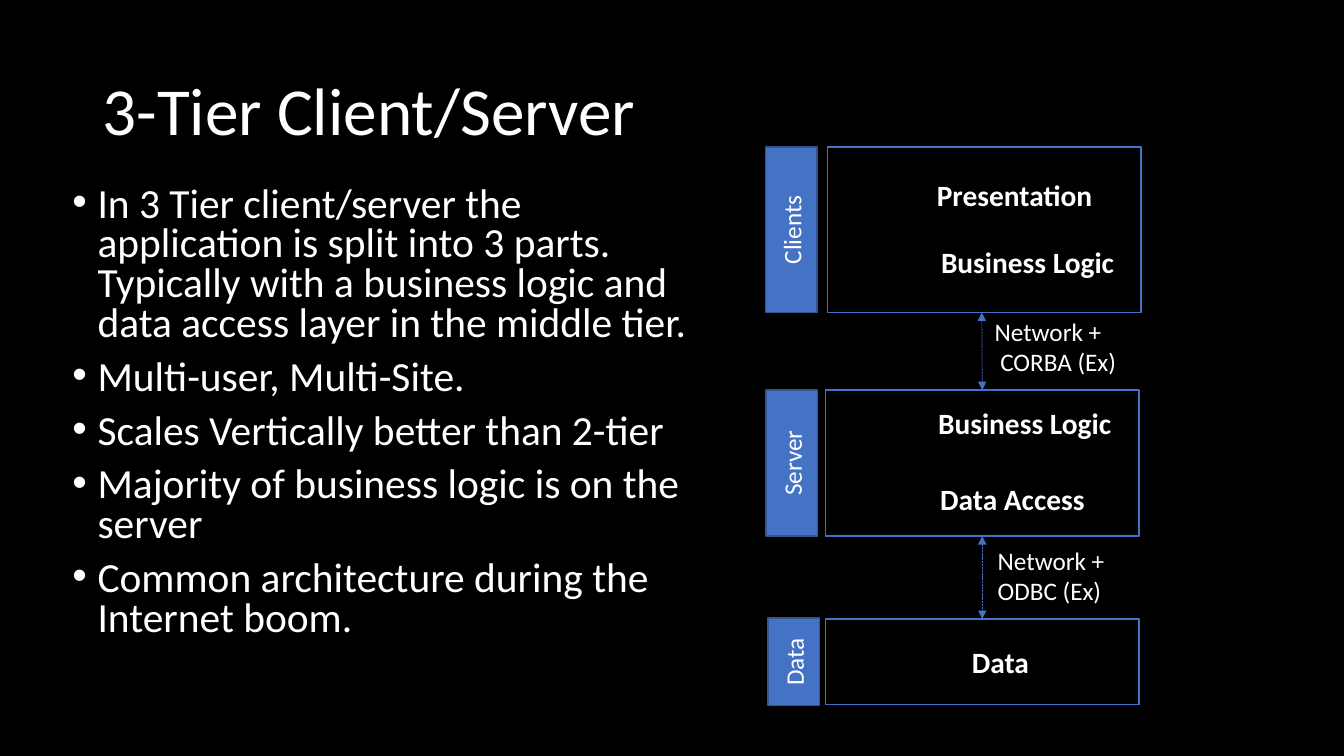
from dataclasses import dataclass

from lxml.etree import SubElement
from pptx import Presentation
from pptx.dml.color import RGBColor
from pptx.enum.dml import MSO_LINE
from pptx.enum.shapes import MSO_CONNECTOR, MSO_SHAPE
from pptx.enum.text import MSO_ANCHOR, PP_ALIGN
from pptx.oxml.ns import qn
from pptx.util import Pt


@dataclass(frozen=True)
class Theme:
    font: str = "Calibri"
    background: RGBColor = RGBColor(0, 0, 0)
    text: RGBColor = RGBColor(0xFF, 0xFF, 0xFF)
    accent: RGBColor = RGBColor(0x44, 0x72, 0xC4)
    tag_edge: RGBColor = RGBColor(0x32, 0x54, 0x91)
    title_size: float = 48
    body_size: float = 29.6
    label_size: float = 21
    small_size: float = 18


THEME = Theme()
TAG_WIDTH = 36.7
FRAME_WIDTH = 223.9
LABEL_HEIGHT = 21.6
LINK_X = 701.3

BULLETS = [
    "In 3 Tier client/server the application is split into 3 parts. "
    "Typically with a business logic and data access layer in the middle tier.",
    "Multi-user, Multi-Site.",
    "Scales Vertically better than 2-tier",
    "Majority of business logic is on the server",
    "Common architecture during the Internet boom.",
]

# name, tag centre, tag length, frame left, top, height, [(label, left, top, width)]
TIERS = [
    ("Clients", 565.2, 118.1, 591.1, 105.1, 118.1,
     [("Presentation", 653.8, 129.6, 141.8),
      ("Business Logic", 663.1, 177.1, 141.8)]),
    ("Server", 565.6, 104.4, 589.7, 278.6, 104.4,
     [("Business Logic", 661, 292.3, 141.8),
      ("Data Access", 652.3, 346.3, 141.8)]),
    ("Data", 567, 62.6, 589.7, 442.1, 61.2,
     [("Data", 647.3, 463, 134.6)]),
]


def write(frame, paragraphs, size, bold=False, align=PP_ALIGN.LEFT,
          anchor=MSO_ANCHOR.TOP, spacing=None, gap=0, bullet=False,
          inset=None, wrap=True):
    """Fill a text frame; gap is the space in points between paragraphs."""
    frame.word_wrap = wrap
    frame.vertical_anchor = anchor
    if inset is not None:
        frame.margin_left = frame.margin_right = Pt(inset)
        frame.margin_top = frame.margin_bottom = Pt(inset)
    for index, text in enumerate(paragraphs):
        paragraph = frame.add_paragraph() if index else frame.paragraphs[0]
        paragraph.text = text
        paragraph.alignment = align
        if spacing:
            paragraph.line_spacing = spacing
        if index and gap:
            paragraph.space_before = Pt(gap)
        if bullet:
            add_bullet(paragraph)
        for run in paragraph.runs:
            run.font.name = THEME.font
            run.font.size = Pt(size)
            run.font.bold = bold
            run.font.color.rgb = THEME.text


def add_bullet(paragraph, indent=18):
    properties = paragraph._p.get_or_add_pPr()
    properties.set("marL", str(Pt(indent)))
    properties.set("indent", str(-Pt(indent)))
    SubElement(properties, qn("a:buFont"), typeface="Arial")
    SubElement(properties, qn("a:buChar"), char="•")


def add_text(slide, box, paragraphs, size, **text_format):
    textbox = slide.shapes.add_textbox(*map(Pt, box))
    write(textbox.text_frame, paragraphs, size, **text_format)


def add_rectangle(slide, box, edge, fill=None):
    rectangle = slide.shapes.add_shape(MSO_SHAPE.RECTANGLE, *map(Pt, box))
    rectangle.shadow.inherit = False
    rectangle.line.color.rgb = edge
    rectangle.line.width = Pt(1)
    if fill is None:
        rectangle.fill.background()
    else:
        rectangle.fill.solid()
        rectangle.fill.fore_color.rgb = fill
    return rectangle


def add_tier(slide, name, tag_centre, tag_length, left, top, height, labels):
    """Draw a tier's frame, labels and sideways tag, and return the frame."""
    frame = add_rectangle(slide, (left, top, FRAME_WIDTH, height), THEME.accent)
    for label, label_left, label_top, width in labels:
        add_text(slide, (label_left, label_top, width, LABEL_HEIGHT), [label],
                 THEME.label_size, bold=True, align=PP_ALIGN.CENTER,
                 spacing=0.9, inset=0)
    tag_box = (tag_centre - tag_length / 2, top + (height - TAG_WIDTH) / 2,
               tag_length, TAG_WIDTH)
    tag = add_rectangle(slide, tag_box, THEME.tag_edge, THEME.accent)
    tag.rotation = 270
    write(tag.text_frame, [name], THEME.small_size,
          align=PP_ALIGN.CENTER, anchor=MSO_ANCHOR.MIDDLE)
    return frame


def add_link(slide, upper, lower):
    """Join two tier frames with a dashed double arrow at LINK_X."""
    link = slide.shapes.add_connector(
        MSO_CONNECTOR.STRAIGHT, Pt(LINK_X), upper.top + upper.height,
        Pt(LINK_X), lower.top)
    if upper.left == lower.left:
        link.begin_connect(upper, 2)
    link.end_connect(lower, 0)
    link.line.color.rgb = THEME.accent
    link.line.width = Pt(0.5)
    link.line.dash_style = MSO_LINE.SQUARE_DOT
    properties = link.element.spPr
    outline = properties.find(qn("a:ln"))
    for end in ("a:headEnd", "a:tailEnd"):
        SubElement(outline, qn(end), type="triangle")
    SubElement(properties, qn("a:effectLst"))


def main():
    presentation = Presentation()
    presentation.slide_width, presentation.slide_height = Pt(960), Pt(540)
    slide = presentation.slides.add_slide(presentation.slide_layouts[6])
    slide.background.fill.solid()
    slide.background.fill.fore_color.rgb = THEME.background

    add_text(slide, (66.2, 28.8, 828, 104.4), ["3-Tier Client/Server"],
             THEME.title_size, anchor=MSO_ANCHOR.MIDDLE, spacing=0.9)
    add_text(slide, (44.6, 129.6, 466.6, 357.1), BULLETS, THEME.body_size,
             spacing=0.8, gap=10, bullet=True)

    clients, server, data = [add_tier(slide, *tier) for tier in TIERS]
    add_link(slide, clients, server)
    add_link(slide, server, data)
    add_text(slide, (703.4, 222.5, 105.1, 51.1), ["Network +\v CORBA (Ex)"],
             THEME.small_size, wrap=False)
    add_text(slide, (705.6, 385.9, 97.9, 51.1), ["Network +\vODBC (Ex)"],
             THEME.small_size, wrap=False)

    presentation.save("out.pptx")


if __name__ == "__main__":
    main()
